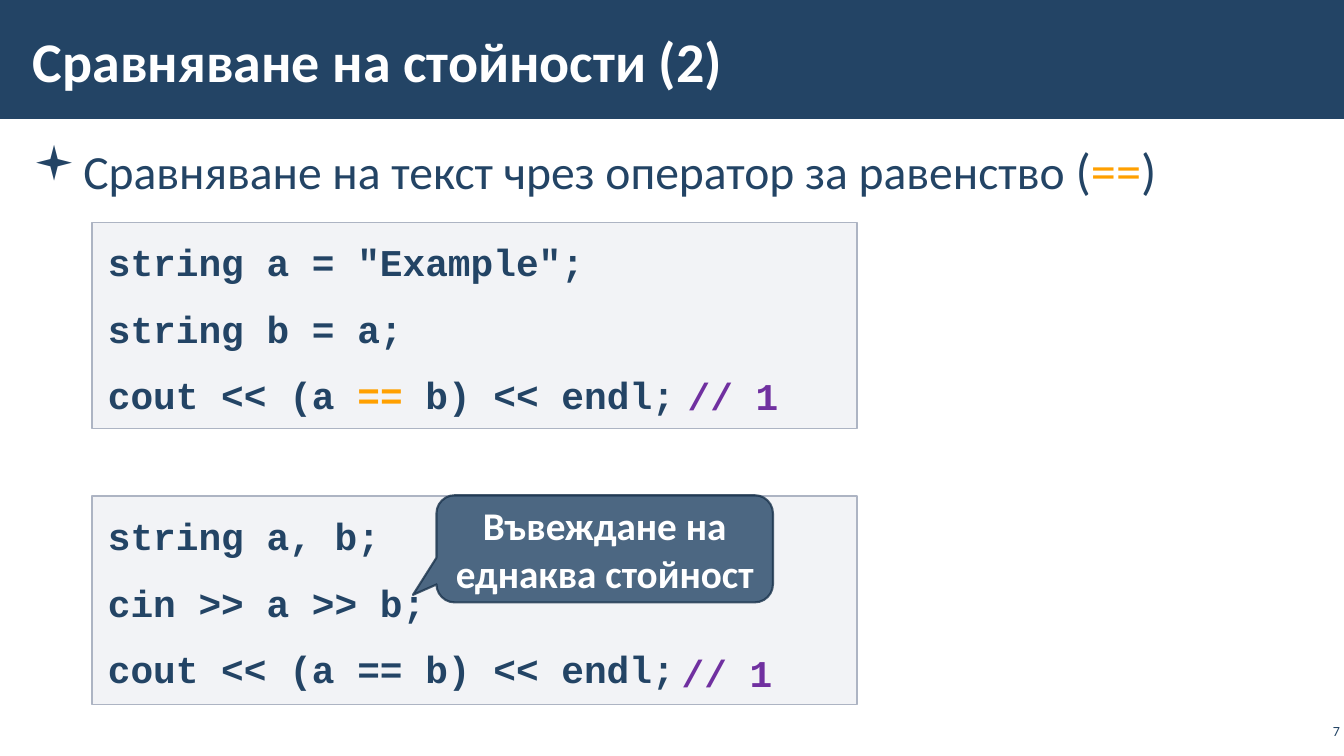
import pptx
import pptx.util
import pptx.dml.color
import pptx.enum.shapes
import pptx.enum.text
from lxml import etree

Cm, Pt = pptx.util.Cm, pptx.util.Pt
KIND = pptx.enum.shapes.MSO_SHAPE
ALIGN = pptx.enum.text.PP_ALIGN
ANCHOR = pptx.enum.text.MSO_ANCHOR
NS = "{http://schemas.openxmlformats.org/drawingml/2006/main}"

NAVY, GOLD, WHITE, PURPLE, GREY = "234465", "FFA000", "FFFFFF", "7030A0", "ADB4C3"
CODE = {"name": "Courier New", "size": Pt(27), "bold": True}
LINES = {"line_spacing": 1.1, "space_before": Pt(6), "space_after": Pt(6)}


def tint(part, hue, alpha=100):
    """Give a fill or font a solid colour, with opacity in percent."""
    if hasattr(part, "solid"):
        part.solid()
        color = part.fore_color
    else:
        color = part.color
    color.rgb = pptx.dml.color.RGBColor.from_string(hue)
    if alpha < 100:
        for node in part._xPr.iter(NS + "srgbClr"):
            etree.SubElement(node, NS + "alpha", val=str(alpha * 1000))


def apply(part, style):
    for key, value in style.items():
        setattr(part, key, value)


def write(shape, rows, font, para=None, pad=(0.25, 0.13), anchor=ANCHOR.TOP):
    """Fill a shape with rows, each a list of (text, colour, extra font values)."""
    frame = shape.text_frame
    apply(frame, {"word_wrap": True, "vertical_anchor": anchor,
                  "margin_left": Cm(pad[0]), "margin_right": Cm(pad[0]),
                  "margin_top": Cm(pad[1]), "margin_bottom": Cm(pad[1])})
    for i, row in enumerate(rows):
        line = frame.add_paragraph() if i else frame.paragraphs[0]
        apply(line, {"alignment": ALIGN.LEFT, **(para or {})})
        for text, hue, *extra in row:
            run = line.add_run()
            run.text = text
            apply(run.font, font | (extra[0] if extra else {}))
            tint(run.font.fill, hue)


def label(slide, box, rows, font, **form):
    shape = slide.shapes.add_textbox(*map(Cm, box))
    write(shape, rows, font, **form)
    return shape


def block(slide, kind, box, hue, alpha=100, edge=None, width=1, clear=100):
    shape = slide.shapes.add_shape(kind, *map(Cm, box))
    shape.shadow.inherit = False
    tint(shape.fill, hue, alpha)
    if edge:
        shape.line.width = Pt(width)
        tint(shape.line.fill, edge, clear)
    else:
        shape.line.fill.background()
    return shape


def header(slide, box):
    x, y, w, h = box
    block(slide, KIND.RECTANGLE, box, NAVY)
    label(slide, (x + 0.53, y + 0.28, w - 7.5, h - 0.54),
          [[("Сравняване на стойности (2)", WHITE)]],
          {"name": "Calibri", "size": Pt(40), "bold": True},
          pad=(0.3, 0.1), anchor=ANCHOR.MIDDLE)


def topic(slide, box):
    big = {"size": Pt(36)}
    row = [("Сравняване на текст чрез оператор за равенство ", NAVY),
           ("(", NAVY, big), ("==", GOLD, big), (")", NAVY, big)]
    shape = label(slide, box, [row], {"name": "Calibri", "size": Pt(34)},
                  para=LINES | {"line_spacing": 1.05}, pad=(0.3, 0.1))
    # Hanging square bullet
    props = shape.text_frame.paragraphs[0]._p.get_or_add_pPr()
    props.set("marL", str(Cm(1.27)))
    props.set("indent", str(-Cm(1.27)))
    etree.SubElement(props, NS + "buFont", typeface="Wingdings")
    etree.SubElement(props, NS + "buChar", char="▪")


def code(slide, box, rows, note):
    """Code panel; note is the offset of its result comment."""
    x, y, w, h = box
    panel = block(slide, KIND.RECTANGLE, box, GREY, 15, GREY)
    write(panel, rows, CODE, para=LINES, pad=(0.4, 0.3))
    label(slide, (x + note[0], y + note[1], 4.5, 1.45), [[("// 1", PURPLE)]],
          CODE, para={"line_spacing": 1.1})


def callout(slide, box):
    shape = block(slide, KIND.ROUNDED_RECTANGULAR_CALLOUT, box, NAVY, 80,
                  "1A334C", 1.5, 80)
    for i, value in enumerate((-0.57, 0.43, 0.17)):
        shape.adjustments[i] = value
    write(shape, [[("Въвеждане на еднаква стойност", WHITE)]],
          {"name": "Calibri", "size": Pt(28), "bold": True},
          para={"alignment": ALIGN.CENTER}, anchor=ANCHOR.MIDDLE)


def number(slide, box):
    label(slide, box, [[("7", NAVY)]], {"name": "Calibri", "size": Pt(10)},
          para={"alignment": ALIGN.RIGHT}, pad=(0.1, 0.1), anchor=ANCHOR.MIDDLE)


def main():
    deck = pptx.Presentation()
    apply(deck, {"slide_width": Cm(33.87), "slide_height": Cm(19.05)})
    slide = deck.slides.add_slide(deck.slide_layouts[6])

    header(slide, (0, 0, 33.87, 3))
    topic(slide, (0.53, 3.33, 32.8, 1.9))
    code(slide, (2.32, 5.6, 19.28, 5.2),
         [[('string a = "Examplе";', NAVY)],
          [("string b = a;", NAVY)],
          [("cout << (a ", NAVY), ("== ", GOLD), ("b) << endl;", NAVY)]],
         (14.76, 3.55))
    code(slide, (2.32, 12.5, 19.28, 5.26),
         [[("string a, b;", NAVY)],
          [("cin >> a >> b;", NAVY)],
          [("cout << (a == b) << endl;", NAVY)]],
         (14.61, 3.63))
    callout(slide, (11, 12.48, 8.48, 2.7))
    number(slide, (32.67, 18.14, 1.2, 0.56))

    deck.save("out.pptx")


if __name__ == "__main__":
    main()
